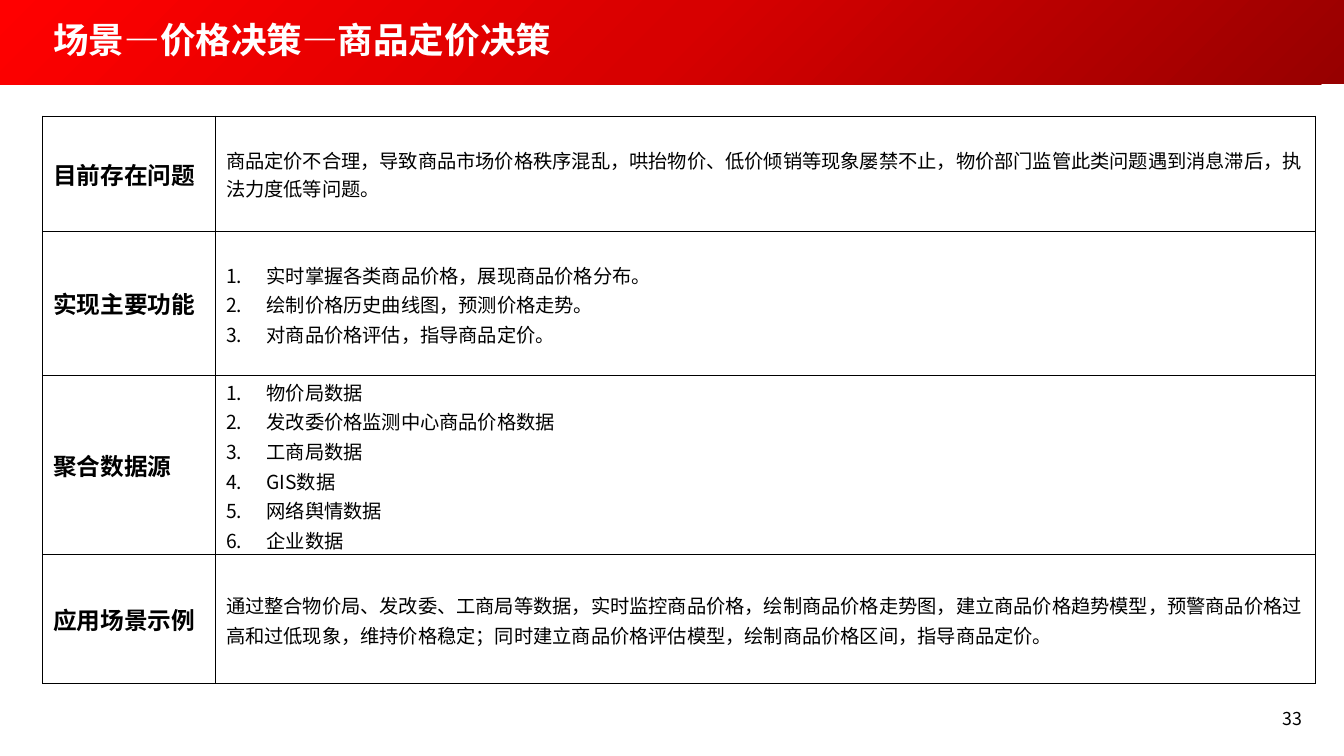
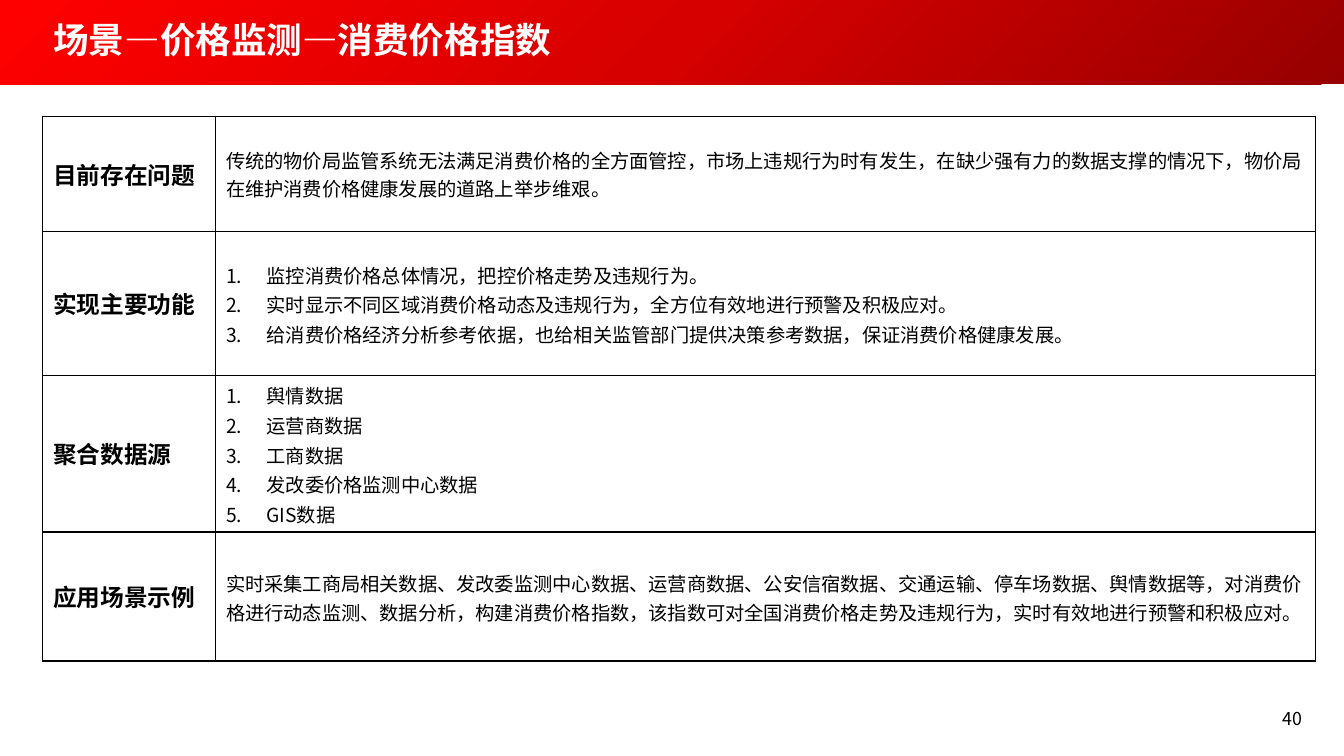
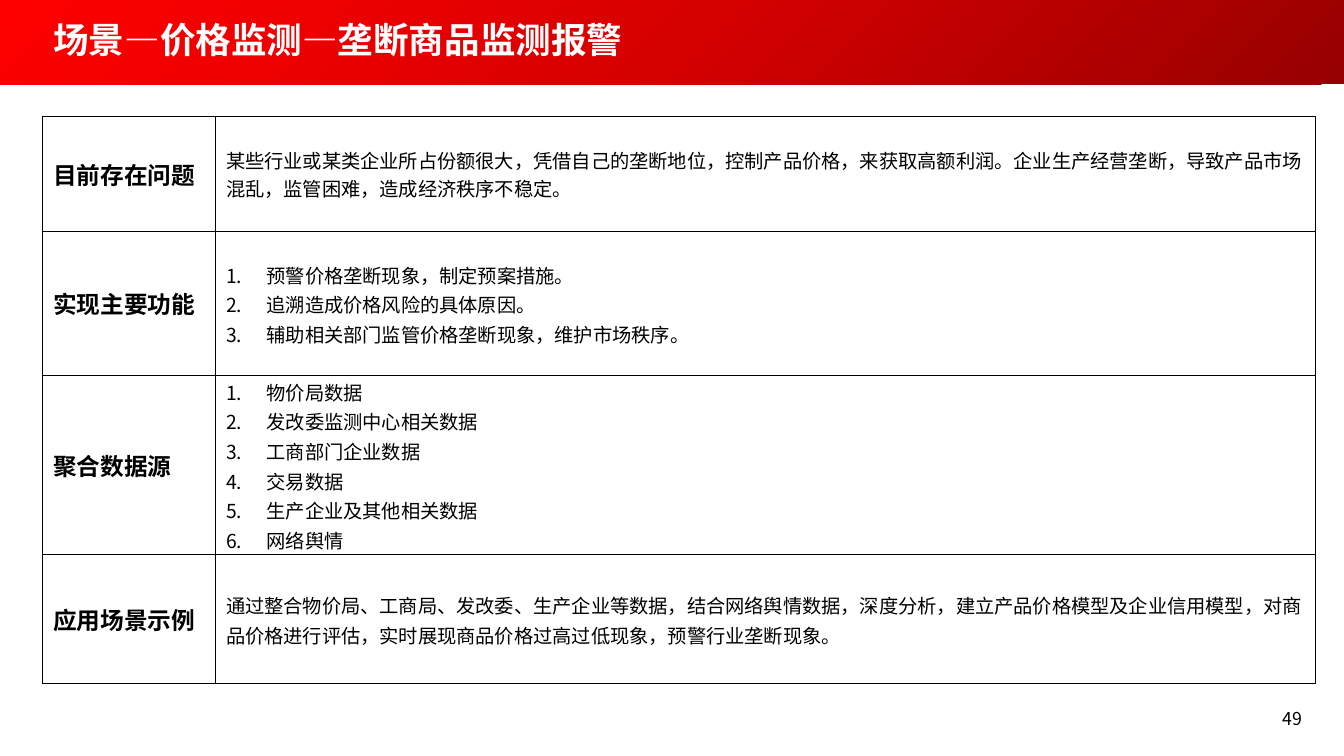
import copy
import pptx
import pptx.dml.color
import pptx.enum.shapes
import pptx.enum.text
import pptx.oxml
import pptx.oxml.ns
import pptx.util
from pptx.util import Inches, Pt

SANS = "Noto Sans CJK SC"
BLACK = "000000"
WHITE = "FFFFFF"
REDS = ["970000", "D70000", "FF0000"]
LEFT = 0.4
BAND = 0.79
COLS = [1.62, 10.31]
ROWS = [1.08, 1.35, 1.47, 1.21]
LINE = 0.28
HEADS = ["目前存在问题", "实现主要功能", "聚合数据源", "应用场景示例"]
NS = pptx.oxml.ns.nsdecls("a")
ALIGN = pptx.enum.text.PP_ALIGN
MIDDLE = pptx.enum.text.MSO_ANCHOR.MIDDLE

PAGES = [
    ("场景—价格决策—商品定价决策", "33", 0.08, [
        ["商品定价不合理，导致商品市场价格秩序混乱，哄抬物价、低价倾销等现象屡禁不止，物价部门监管此类问题遇到消息滞后，执法力度低等问题。"],
        ["实时掌握各类商品价格，展现商品价格分布。",
         "绘制价格历史曲线图，预测价格走势。",
         "对商品价格评估，指导商品定价。"],
        ["物价局数据", "发改委价格监测中心商品价格数据", "工商局数据",
         "GIS数据", "网络舆情数据", "企业数据"],
        ["通过整合物价局、发改委、工商局等数据，实时监控商品价格，绘制商品价格走势图，建立商品价格趋势模型，预警商品价格过高和过低现象，维持价格稳定；同时建立商品价格评估模型，绘制商品价格区间，指导商品定价。"],
    ]),
    ("场景—价格监测—消费价格指数", "40", 0.12, [
        ["传统的物价局监管系统无法满足消费价格的全方面管控，市场上违规行为时有发生，在缺少强有力的数据支撑的情况下，物价局在维护消费价格健康发展的道路上举步维艰。"],
        ["监控消费价格总体情况，把控价格走势及违规行为。",
         "实时显示不同区域消费价格动态及违规行为，全方位有效地进行预警及积极应对。",
         "给消费价格经济分析参考依据，也给相关监管部门提供决策参考数据，保证消费价格健康发展。"],
        ["舆情数据", "运营商数据", "工商数据", "发改委价格监测中心数据", "GIS数据"],
        ["实时采集工商局相关数据、发改委监测中心数据、运营商数据、公安信宿数据、交通运输、停车场数据、舆情数据等，对消费价格进行动态监测、数据分析，构建消费价格指数，该指数可对全国消费价格走势及违规行为，实时有效地进行预警和积极应对。"],
    ]),
    ("场景—价格监测—垄断商品监测报警", "49", 0.08, [
        ["某些行业或某类企业所占份额很大，凭借自己的垄断地位，控制产品价格，来获取高额利润。企业生产经营垄断，导致产品市场混乱，监管困难，造成经济秩序不稳定。"],
        ["预警价格垄断现象，制定预案措施。",
         "追溯造成价格风险的具体原因。",
         "辅助相关部门监管价格垄断现象，维护市场秩序。"],
        ["物价局数据", "发改委监测中心相关数据", "工商部门企业数据",
         "交易数据", "生产企业及其他相关数据", "网络舆情"],
        ["通过整合物价局、工商局、发改委、生产企业等数据，结合网络舆情数据，深度分析，建立产品价格模型及企业信用模型，对商品价格进行评估，实时展现商品价格过高过低现象，预警行业垄断现象。"],
    ]),
]


def color(code):
    return pptx.dml.color.RGBColor.from_string(code)


def style(para, size, code=BLACK, bold=False, face=SANS):
    for run in para.runs:
        font = run.font
        font.size = Pt(size)
        font.bold = bold
        font.color.rgb = color(code)
        font.name = face
        run._r.get_or_add_rPr().append(
            pptx.oxml.parse_xml(f'<a:ea {NS} typeface="{SANS}"/>'))


deck = pptx.Presentation()
deck.slide_width = Inches(12.6)
deck.slide_height = Inches(7.09)
layout = deck.slide_layouts[5]

for name, number, right, texts in PAGES:
    slide = deck.slides.add_slide(layout)

    if len(deck.slides) == 1:
        band = slide.shapes.add_shape(
            pptx.enum.shapes.MSO_SHAPE.RECTANGLE, 0, 0, deck.slide_width, Inches(BAND))
        band.shadow.inherit = False
        band.line.fill.background()
        band.fill.gradient()
        band.fill.gradient_angle = 135
        first = band.fill.gradient_stops[0]._gs
        first.addnext(copy.deepcopy(first))
        for i, stop in enumerate(band.fill.gradient_stops):
            stop.color.rgb = color(REDS[i])
            stop.position = i / 2
        layout.shapes.element.insert(2, band.element)

    title = slide.shapes.title
    title.left, title.top = Inches(LEFT), 0
    title.width, title.height = Inches(10.87), Inches(BAND)
    frame = title.text_frame
    frame.text = name
    frame.auto_size = pptx.enum.text.MSO_AUTO_SIZE.NONE
    frame.vertical_anchor = MIDDLE
    para = frame.paragraphs[0]
    para.alignment = ALIGN.LEFT
    para.line_spacing = 0.9
    style(para, 24, WHITE, True)

    box = slide.shapes.add_textbox(Inches(9.47), Inches(6.59), Inches(2.84), Inches(0.38))
    box.text_frame.word_wrap = True
    box.text_frame.text = number
    para = box.text_frame.paragraphs[0]
    para.alignment = ALIGN.RIGHT
    style(para, 12)

    highs = [max(high, LINE * len(lines)) for high, lines in zip(ROWS, texts)]
    table = slide.shapes.add_table(
        len(ROWS), len(COLS), Inches(LEFT), Inches(1.09),
        Inches(sum(COLS)), Inches(sum(highs))).table
    table.first_row = False
    table.horz_banding = False
    for col, width in zip(table.columns, COLS):
        col.width = Inches(width)

    for i, lines in enumerate(texts):
        table.rows[i].height = Inches(highs[i])
        head, body = table.cell(i, 0), table.cell(i, 1)
        head.text_frame.text = HEADS[i]
        style(head.text_frame.paragraphs[0], 16, bold=True)

        body.text_frame.text = "\n".join(lines)
        listed = len(lines) > 1
        for para in body.text_frame.paragraphs:
            if listed:
                props = para._p.get_or_add_pPr()
                props.set("marL", str(Inches(0.38)))
                props.set("indent", str(-Inches(0.38)))
                props.append(pptx.oxml.parse_xml(
                    f'<a:buClr {NS}><a:srgbClr val="{BLACK}"/></a:buClr>'))
                props.append(pptx.oxml.parse_xml(
                    f'<a:buAutoNum {NS} type="arabicPeriod"/>'))
            if i > 0:
                para.line_spacing = 1.07
            style(para, 13, face=SANS if listed else "Calibri")

        for cell in (head, body):
            cell.vertical_anchor = MIDDLE
            cell.margin_left = cell.margin_right = Inches(0.1)
            cell.margin_top = cell.margin_bottom = Inches(0.05)
            props = cell._tc.get_or_add_tcPr()
            for side in ("lnL", "lnR", "lnT", "lnB"):
                props.append(pptx.oxml.parse_xml(
                    f'<a:{side} {NS} w="{Pt(1)}"><a:solidFill>'
                    f'<a:srgbClr val="{BLACK}"/></a:solidFill></a:{side}>'))
            cell.fill.background()
        if i > 1:
            body.margin_top = body.margin_bottom = 0
            body.margin_right = Inches(right if i == 3 else 0.08)

deck.save("out.pptx")
